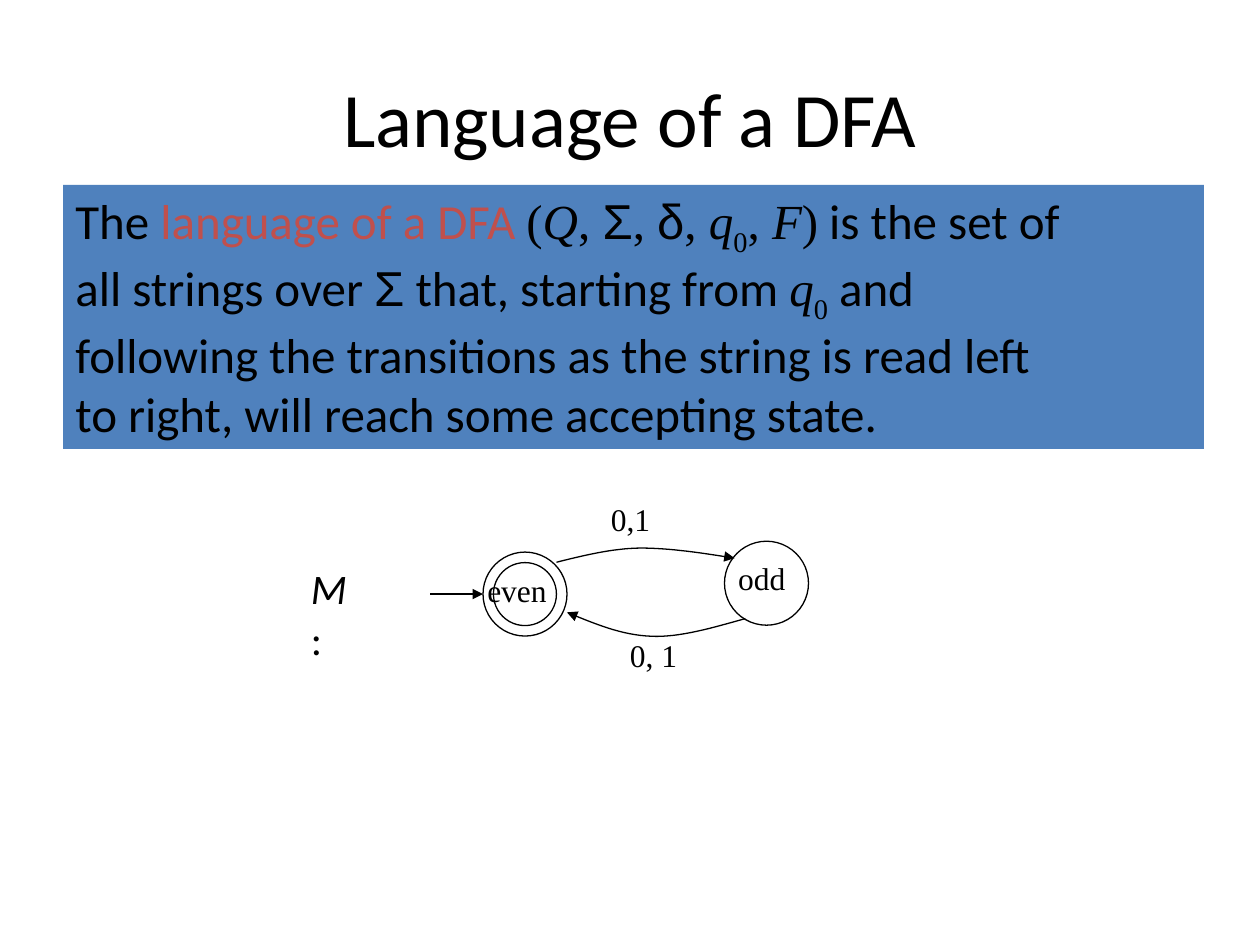
from lxml.etree import SubElement
from pptx import Presentation
from pptx.dml.color import RGBColor as RGB
from pptx.enum.shapes import MSO_CONNECTOR as CONN, MSO_SHAPE as SHAPE
from pptx.enum.text import MSO_ANCHOR as ANCHOR, PP_ALIGN as ALIGN
from pptx.oxml.ns import qn
from pptx.util import Pt

THEME = dict(
    ink=RGB(0, 0, 0), accent=RGB(0xC0, 0x50, 0x4D), panel=RGB(0x4F, 0x81, 0xBD),
    sans="Calibri", serif="Times New Roman", greek="Arial",
    title=44, body=28, name=24, label=18, line=0.75,
)
SERIF = dict(font=THEME["serif"])
GREEK = dict(font=THEME["greek"])
VAR = dict(font=THEME["serif"], italic=True)
SUB = dict(font=THEME["serif"], base=-25000)

TITLE = "Language of a DFA"
DEFINITION = [
    ("The ", {}), ("language of a DFA ", dict(color=THEME["accent"])),
    ("(", SERIF), ("Q", VAR), (", ", SERIF), ("Σ", GREEK), (", ", SERIF),
    ("δ", GREEK), (", ", SERIF), ("q", VAR), ("0", SUB), (", ", SERIF),
    ("F", VAR), (")", SERIF), (" is the set of \nall strings over ", {}),
    ("Σ", GREEK), (" that, starting from ", {}), ("q", VAR), ("0", SUB),
    (" and \nfollowing the transitions as the string is read left"
     "\nto right, will reach some accepting state.", {}),
]
MACHINE = [("M", dict(italic=True)), (":", {})]
LABELS = [
    ("even", (271.4, 322.6, 55.4, 28.8)),
    ("odd", (414.7, 316.1, 46.8, 28.8)),
    ("0,1", (342, 282.2, 54, 28.8)),
    ("0, 1", (352.8, 360, 49, 28.8)),
]
EVEN, ODD = (300, 339.5), (438, 333.3)
OUTER, INNER = 24, 18
TRANSITIONS = [
    ([(318, 321.3), (333.4, 317.5), (349.2, 313.5), (365.8, 313.2),
      (383, 313.2), (401.8, 316.1), (419.8, 319)], "tailEnd"),
    ([(324, 349.9), (339.8, 356.4), (355, 362.9), (372.2, 363.6),
      (388.8, 364.3), (407.5, 358.6), (426, 353.5)], "headEnd"),
]
STEPS = 16


def write(tf, runs, size, font=THEME["sans"], align=ALIGN.LEFT):
    p = tf.paragraphs[0]
    p.alignment = align
    for text, style in runs:
        for i, part in enumerate(text.split("\n")):
            if i:
                p.add_line_break()
            r = p.add_run()
            r.text = part
            r.font.size = Pt(size)
            r.font.name = style.get("font", font)
            r.font.italic = style.get("italic", False)
            r.font.color.rgb = style.get("color", THEME["ink"])
            if "base" in style:
                r.font._element.set("baseline", str(style["base"]))


def label(s, runs, box, size, font):
    tf = s.shapes.add_textbox(*map(Pt, box)).text_frame
    tf.word_wrap = False
    write(tf, runs, size, font)


def outline(sp):
    sp.line.color.rgb = THEME["ink"]
    sp.line.width = Pt(THEME["line"])


def arrowhead(sp, end):
    SubElement(sp.line._get_or_add_ln(), qn("a:" + end), type="triangle")


def circle(s, center, radius):
    x, y = center
    sp = s.shapes.add_shape(
        SHAPE.OVAL, Pt(x - radius), Pt(y - radius), Pt(2 * radius), Pt(2 * radius))
    sp.shadow.inherit = False
    sp.fill.background()
    outline(sp)


def bezier(a, b, c, d, t):
    u = 1 - t
    return tuple(
        Pt(u**3 * i + 3 * u * u * t * j + 3 * u * t * t * k + t**3 * m)
        for i, j, k, m in zip(a, b, c, d))


def curve(s, pts, end):
    dots = [bezier(*pts[i:i + 4], n / STEPS)
            for i in range(0, len(pts) - 1, 3) for n in range(1, STEPS + 1)]
    fb = s.shapes.build_freeform(*map(Pt, pts[0]))
    fb.add_line_segments(dots, close=False)
    sp = fb.convert_to_shape()
    sp.shadow.inherit = False
    sp.fill.background()
    outline(sp)
    arrowhead(sp, end)


def main():
    prs = Presentation()
    prs.slide_width, prs.slide_height = Pt(720), Pt(540)
    s = prs.slides.add_slide(prs.slide_layouts[5])

    title = s.shapes.title
    title.left, title.top, title.width, title.height = map(Pt, (36, 21.6, 648, 90))
    title.text_frame.vertical_anchor = ANCHOR.MIDDLE
    write(title.text_frame, [(TITLE, {})], THEME["title"], align=ALIGN.CENTER)

    panel = s.shapes.add_shape(SHAPE.RECTANGLE, *map(Pt, (36, 105.6, 652, 151)))
    panel.shadow.inherit = False
    panel.fill.solid()
    panel.fill.fore_color.rgb = THEME["panel"]
    panel.line.fill.background()
    panel.text_frame.word_wrap = True
    panel.text_frame.vertical_anchor = ANCHOR.TOP
    write(panel.text_frame, DEFINITION, THEME["body"])

    label(s, MACHINE, (170.6, 318.2, 41, 36), THEME["name"], THEME["sans"])
    for center in (EVEN, ODD):
        circle(s, center, OUTER)
    for pts, end in TRANSITIONS:
        curve(s, pts, end)

    x, y = EVEN
    start = s.shapes.add_connector(
        CONN.STRAIGHT, Pt(x - OUTER - 30), Pt(y), Pt(x - OUTER), Pt(y))
    outline(start)
    arrowhead(start, "tailEnd")
    SubElement(start._element.spPr, qn("a:effectLst"))

    for text, box in LABELS:
        label(s, [(text, {})], box, THEME["label"], THEME["serif"])
    circle(s, EVEN, INNER)
    prs.save("out.pptx")


if __name__ == "__main__":
    main()
